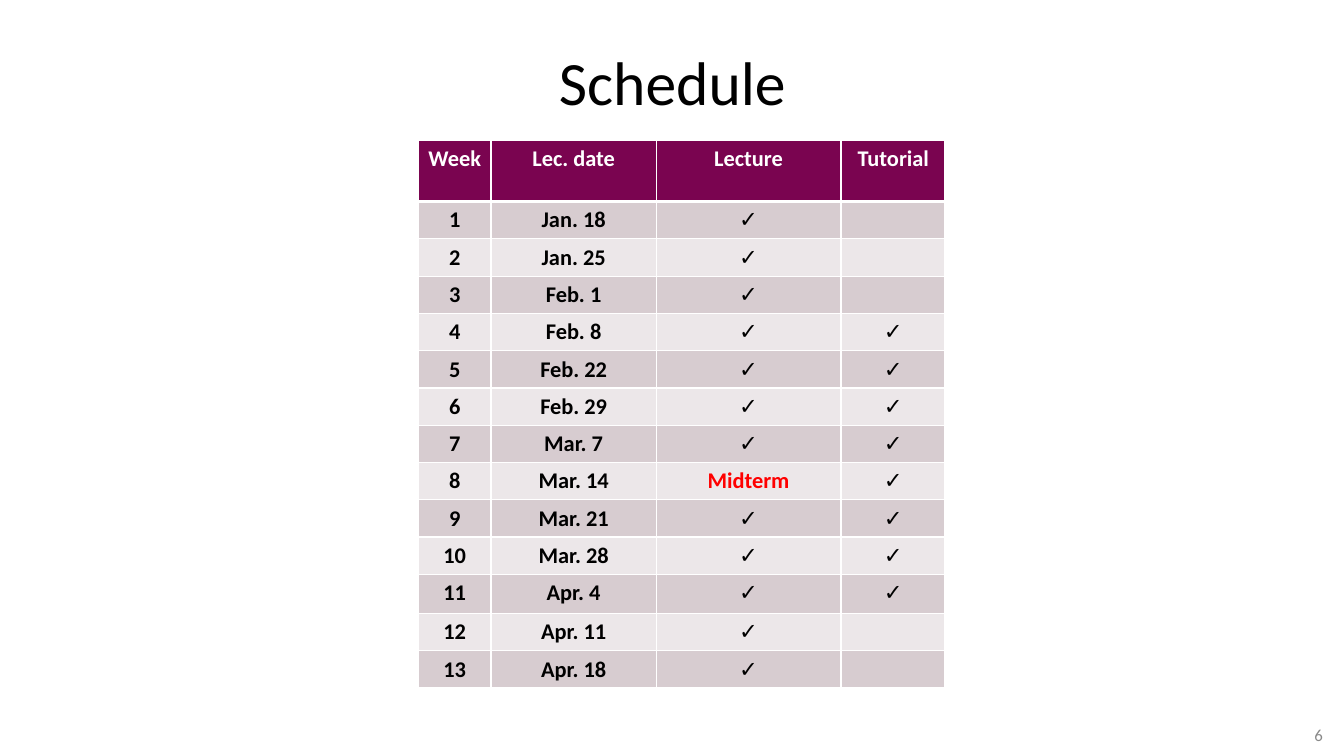
from lxml import etree
from pptx import Presentation
from pptx.dml.color import RGBColor
from pptx.enum.text import MSO_ANCHOR, PP_ALIGN
from pptx.oxml.ns import qn
from pptx.util import Inches, Pt

CENTER, RIGHT = PP_ALIGN.CENTER, PP_ALIGN.RIGHT
MIDDLE = MSO_ANCHOR.MIDDLE

CHECK = "✓"
MIDTERM = "Midterm"
DATES = ["Jan. 18", "Jan. 25", "Feb. 1", "Feb. 8", "Feb. 22", "Feb. 29", "Mar. 7",
         "Mar. 14", "Mar. 21", "Mar. 28", "Apr. 4", "Apr. 11", "Apr. 18"]
MIDTERM_WEEK = 8
TUTORIAL_WEEKS = range(4, 12)
ROW_HEIGHTS = [0.61] + [0.37] * 10 + [0.39] + [0.37] * 2


def color(hex_code):
    return RGBColor.from_string(hex_code)


class ScheduleSlide:
    FONT = "Calibri"
    BLACK, WHITE, RED, GRAY = "000000", "FFFFFF", "FF0000", "898989"
    HEADER, BANDS = "7A0450", ("ECE7E9", "D7CCD0")
    CELL_SIZE = 16

    def __init__(self, prs):
        self.slide = prs.slides.add_slide(prs.slide_layouts[5])

    def add_text(self, paragraph, text, size, hex_code, align, bold=False):
        paragraph.alignment = align
        run = paragraph.add_run()
        run.text = text
        run.font.name = self.FONT
        run.font.size = Pt(size)
        run.font.bold = bold
        run.font.color.rgb = color(hex_code)

    def title(self, text, left, top, width, height):
        heading = self.slide.shapes.title
        heading.left, heading.top = Inches(left), Inches(top)
        heading.width, heading.height = Inches(width), Inches(height)
        heading.text_frame.vertical_anchor = MIDDLE
        self.add_text(heading.text_frame.paragraphs[0], text, 44, self.BLACK, CENTER)

    def page_number(self, text, left, top, width, height):
        box = self.slide.shapes.add_textbox(
            Inches(left), Inches(top), Inches(width), Inches(height))
        box.text_frame.word_wrap = True
        box.text_frame.vertical_anchor = MIDDLE
        self.add_text(box.text_frame.paragraphs[0], text, 12, self.GRAY, RIGHT)

    def borders(self, cell, bottom):
        properties = cell._tc.get_or_add_tcPr()
        for side, points in (("L", 1), ("R", 1), ("T", 1), ("B", bottom)):
            line = etree.SubElement(properties, qn(f"a:ln{side}"), w=str(Pt(points)))
            fill = etree.SubElement(line, qn("a:solidFill"))
            etree.SubElement(fill, qn("a:srgbClr"), val=self.WHITE)

    def cell(self, cell, text, row):
        is_header = row == 0
        self.borders(cell, bottom=3 if is_header else 1)
        cell.fill.solid()
        cell.fill.fore_color.rgb = color(self.HEADER if is_header else self.BANDS[row % 2])
        cell.margin_left = cell.margin_right = Inches(0.05)
        cell.margin_top, cell.margin_bottom = Inches(0.05), Inches(0.04)
        paragraph = cell.text_frame.paragraphs[0]
        if text:
            ink = self.WHITE if is_header else self.RED if text == MIDTERM else self.BLACK
            self.add_text(paragraph, text, self.CELL_SIZE, ink, CENTER, bold=True)
        else:
            # Keeps an empty row from growing to the default text size
            paragraph._p.get_or_add_endParaRPr().set("sz", str(self.CELL_SIZE * 100))

    def table(self, rows, left, top, widths):
        table = self.slide.shapes.add_table(
            len(rows), len(widths), Inches(left), Inches(top),
            Inches(sum(widths)), Inches(sum(ROW_HEIGHTS))).table
        for column, width in zip(table.columns, widths):
            column.width = Inches(width)
        for r, (texts, height) in enumerate(zip(rows, ROW_HEIGHTS)):
            table.rows[r].height = Inches(height)
            for c, text in enumerate(texts):
                self.cell(table.cell(r, c), text, r)


def main():
    prs = Presentation()
    prs.slide_width, prs.slide_height = Inches(13.33), Inches(7.5)
    schedule = ScheduleSlide(prs)

    # Heading
    schedule.title("Schedule", 0.67, 0.3, 12, 1.01)

    # Lectures by week
    lectures = [("Week", "Lec. date", "Lecture")]
    lectures += [(str(week), date, MIDTERM if week == MIDTERM_WEEK else CHECK)
                 for week, date in enumerate(DATES, 1)]
    schedule.table(lectures, 4.15, 1.39, [0.72, 1.64, 1.83])

    # Tutorials by week
    tutorials = [("Tutorial",)]
    tutorials += [(CHECK if week in TUTORIAL_WEEKS else "",)
                  for week in range(1, len(DATES) + 1)]
    schedule.table(tutorials, 8.35, 1.39, [1.02])

    # Footer
    schedule.page_number("6", 11.79, 7.14, 1.43, 0.29)

    prs.save("out.pptx")


if __name__ == "__main__":
    main()
